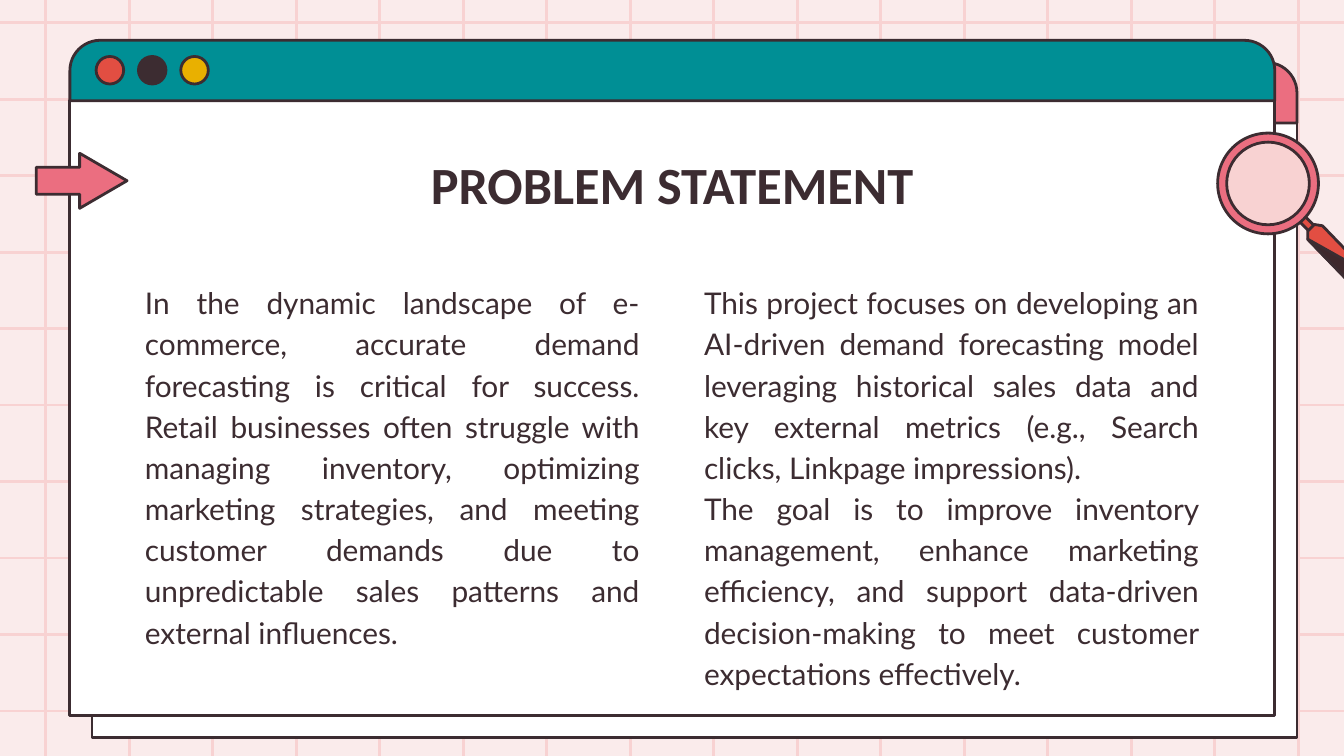
import pptx
import pptx.util
import pptx.dml.color
import pptx.enum.shapes
import pptx.enum.text
import pptx.oxml.ns
import lxml.etree

SCALE = 4572
WIDE, HIGH = 2000, 1125
HUES = {
    "page": "FAEBEB", "grid": "F8D2D2", "ink": "3C2C31", "white": "FFFFFF",
    "pink": "EB6E80", "teal": "008F95", "red": "E24E42", "gold": "E9B000",
    "dark": "3E282C",
}
KIND = pptx.enum.shapes.MSO_SHAPE
ALIGN = pptx.enum.text.PP_ALIGN
LEFT = (
    "In the dynamic landscape of e-commerce, accurate demand forecasting is "
    "critical for success. Retail businesses often struggle with managing "
    "inventory, optimizing marketing strategies, and meeting customer demands "
    "due to unpredictable sales patterns and external influences.",
)
RIGHT = (
    "This project focuses on developing an AI-driven demand forecasting model "
    "leveraging historical sales data and key external metrics (e.g., Search "
    "clicks, Linkpage impressions).",
    "The goal is to improve inventory management, enhance marketing "
    "efficiency, and support data-driven decision-making to meet customer "
    "expectations effectively.",
)


def px(num):
    return pptx.util.Emu(round(num * SCALE))


def hue(name):
    return pptx.dml.color.RGBColor.from_string(HUES[name])


def paint(shape, fill):
    shape.shadow.inherit = False
    shape.fill.solid()
    shape.fill.fore_color.rgb = hue(fill)
    shape.line.color.rgb = hue("ink")
    shape.line.width = pptx.util.Pt(1.5)


def draw(slide, kind, box, fill, *bends):
    shape = slide.shapes.add_shape(kind, *map(px, box))
    for spot, bend in enumerate(bends):
        shape.adjustments[spot] = bend
    paint(shape, fill)


def trace(slide, left, top, dots, fill):
    dots = [(left + x, top + y) for x, y in dots]
    pen = slide.shapes.build_freeform(*dots[0], scale=SCALE)
    pen.add_line_segments(dots[1:], close=True)
    paint(pen.convert_to_shape(), fill)


def rule(slide, x1, y1, x2, y2):
    line = slide.shapes.add_connector(
        pptx.enum.shapes.MSO_CONNECTOR.STRAIGHT, *map(px, (x1, y1, x2, y2)))
    line.line.color.rgb = hue("grid")
    line.line.width = pptx.util.Pt(1.5)
    lxml.etree.SubElement(
        line._element.spPr, pptx.oxml.ns.qn("a:effectLst"))


def write(shape, lines, size, font, align, bold=False, space=1.0):
    frame = shape.text_frame
    frame.word_wrap = True
    frame.auto_size = pptx.enum.text.MSO_AUTO_SIZE.NONE
    frame.vertical_anchor = pptx.enum.text.MSO_ANCHOR.TOP
    frame.margin_left = frame.margin_right = px(20)
    frame.margin_top = frame.margin_bottom = px(20)
    frame.text = "\n".join(lines)
    for para in frame.paragraphs:
        para.alignment = align
        para.line_spacing = space
        face = para.runs[0].font
        face.name = font
        face.size = pptx.util.Pt(size)
        face.bold = bold
        face.color.rgb = hue("ink")


def grid(slide, left, top, wide, high):
    for step in range(16):
        x = left + 68 + step * 1864 / 15
        rule(slide, x, top, x, top + high)
    for step in range(10):
        y = top + 34 + step * 1024 / 9
        rule(slide, left, y, left + wide, y)


def window(slide, left, top, wide, high, fill, dots=()):
    bar = 90
    draw(slide, KIND.RECTANGLE, (left, top + bar, wide, high - bar), "white")
    draw(slide, KIND.ROUND_2_SAME_RECTANGLE, (left, top, wide, bar), fill, 0.5, 0)
    for step, dot in enumerate(dots):
        draw(slide, KIND.OVAL, (left + 39 + step * 63, top + 24, 41, 41), dot)


def title(slide, left, top, wide, high):
    shape = slide.shapes.title
    slide.shapes._spTree.append(shape._element)
    shape.left, shape.top, shape.width, shape.height = map(
        px, (left, top, wide, high))
    write(shape, ["PROBLEM STATEMENT"], size=28, font="Calibri",
          align=ALIGN.CENTER, bold=True)


def columns(slide, left, top, wide, high):
    part = 776
    for x, lines in ((left, LEFT), (left + wide - part, RIGHT)):
        box = slide.shapes.add_textbox(*map(px, (x, top, part, high)))
        write(box, lines, size=16, font="Lato", align=ALIGN.JUSTIFY, space=1.15)


def lens(slide, left, top, size):
    end = [(216, 204), (214, 210), (208, 216), (204, 218), (192, 218), (134, 158)]
    neck = [(142, 152), (150, 144), (128, 122), (120, 130)]
    grip = end + [(134, 146), (144, 136), (156, 138), (214, 198)]
    trace(slide, left, top, neck, "red")
    trace(slide, left, top, grip, "red")
    trace(slide, left, top, end, "dark")
    draw(slide, KIND.OVAL, (left + 8, top + 8, size - 16, size - 16), "grid")
    draw(slide, KIND.DONUT, (left, top, size, size), "pink", 0.09)


def main():
    deck = pptx.Presentation()
    deck.slide_width, deck.slide_height = px(WIDE), px(HIGH)
    slide = deck.slides.add_slide(deck.slide_layouts[5])
    back = slide.background.fill
    back.solid()
    back.fore_color.rgb = hue("page")
    grid(slide, 0, 0, WIDE, HIGH)
    window(slide, 137, 93, 1793, 1005, "pink")
    window(slide, 104, 60, 1793, 1005, "teal", ("red", "ink", "gold"))
    title(slide, 196, 206, 1608, 126)
    columns(slide, 196, 396, 1608, 576)
    lens(slide, 1812, 198, 150)
    draw(slide, KIND.RIGHT_ARROW, (54, 228, 135, 82), "pink", 0.49, 0.86)
    deck.save("out.pptx")


if __name__ == "__main__":
    main()
